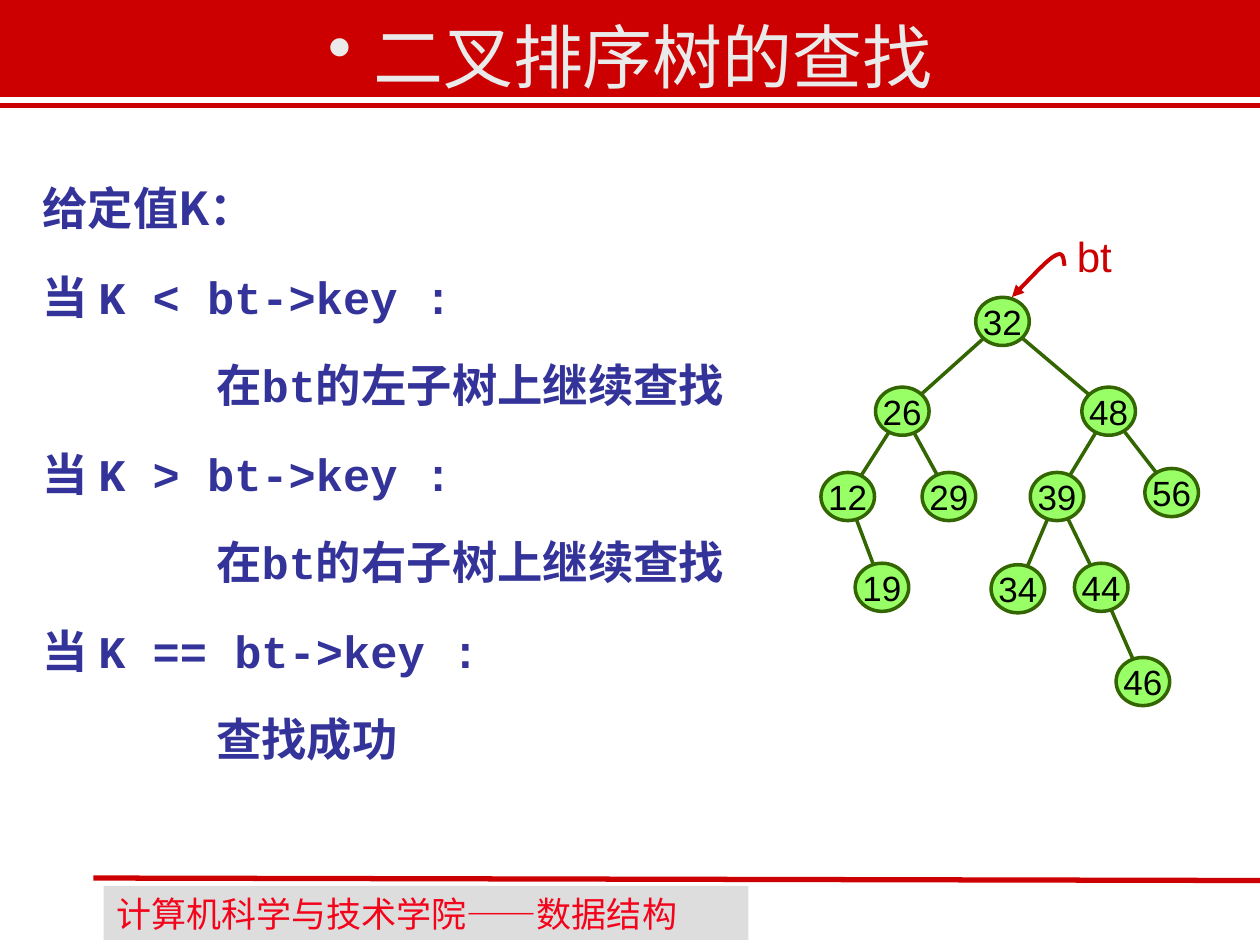
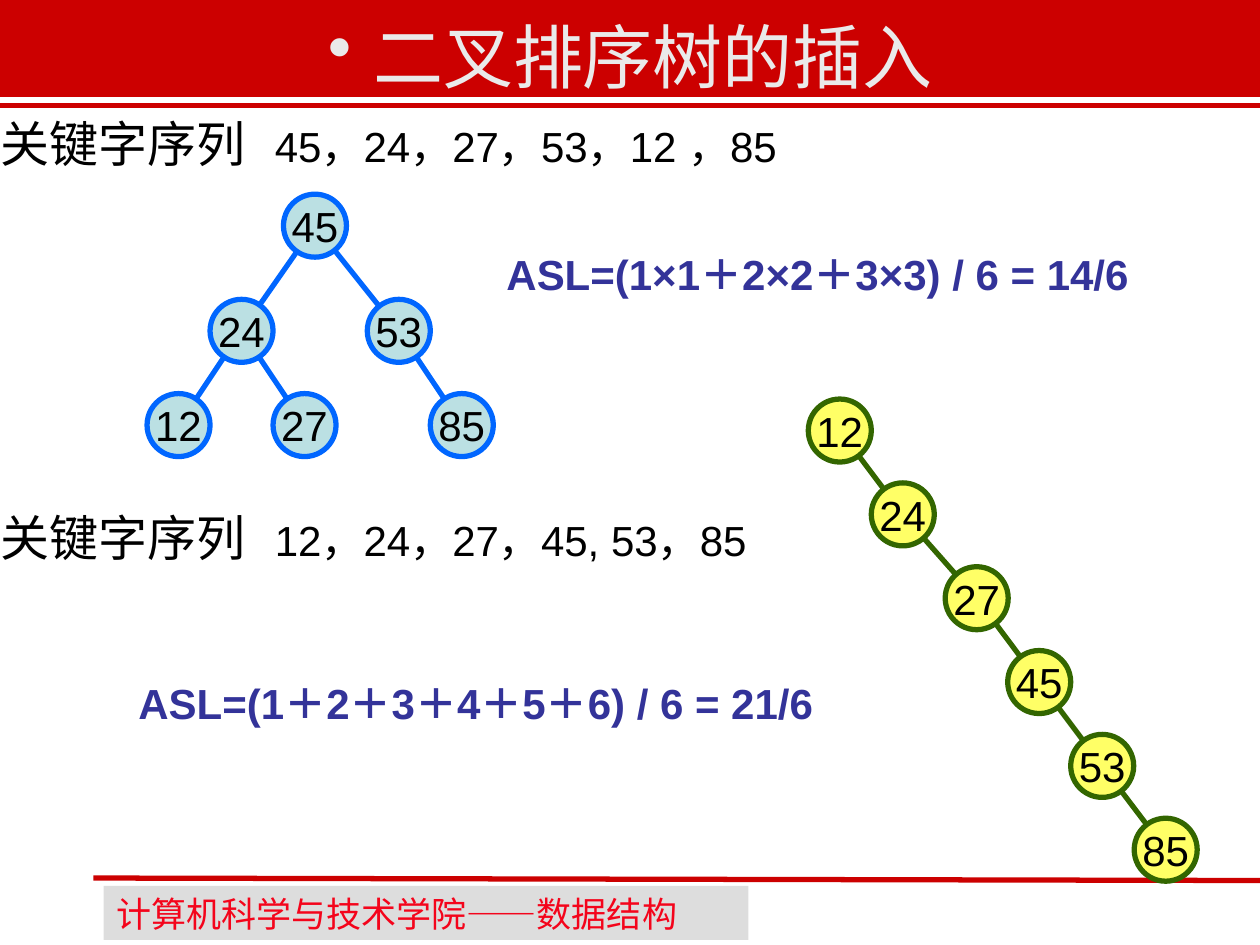
from dataclasses import dataclass
from math import hypot
from typing import NamedTuple

from lxml.etree import SubElement
from pptx import Presentation
from pptx.dml.color import RGBColor
from pptx.enum.shapes import MSO_CONNECTOR as Connector, MSO_SHAPE as Preset
from pptx.enum.text import MSO_ANCHOR as Anchor, PP_ALIGN as Align
from pptx.oxml.ns import qn
from pptx.util import Cm, Pt

RED = RGBColor(0xCC, 0x00, 0x00)
FOOTER_GREY = RGBColor(0xDD, 0xDD, 0xDD)
FOOTER_RED = RGBColor(0xF4, 0x04, 0x1B)
TITLE_GREY = RGBColor(0xEA, 0xEA, 0xEA)
INDIGO = RGBColor(0x33, 0x33, 0x99)
BLACK = RGBColor(0x00, 0x00, 0x00)
LIME = RGBColor(0x99, 0xFF, 0x66)
DARK_GREEN = RGBColor(0x33, 0x66, 0x00)
PALE_BLUE = RGBColor(0xBB, 0xE0, 0xE3)
BLUE = RGBColor(0x00, 0x66, 0xFF)
YELLOW = RGBColor(0xFF, 0xFF, 0x66)

SANS, SERIF, MONO, CJK = "Arial", "Times New Roman", "Courier New", "Noto Sans CJK SC"
WIDTH, HEIGHT = 25.4, 19.05


class Point(NamedTuple):
    x: float
    y: float


class Box(NamedTuple):
    left: float
    top: float
    width: float
    height: float


@dataclass(frozen=True)
class TreeStyle:
    fill: RGBColor
    line: RGBColor
    weight: float
    width: float
    height: float
    size: float


@dataclass(frozen=True)
class Tree:
    style: TreeStyle
    nodes: dict[int, Point]
    edges: list[tuple[int, int]]


class Condition(NamedTuple):
    test: str
    action: str


SEARCH_TREE = Tree(
    TreeStyle(LIME, DARK_GREEN, 2, 1.08, 0.97, 20),
    {
        32: Point(20.21, 6.48),
        26: Point(18.19, 8.29), 48: Point(22.35, 8.29),
        12: Point(17.09, 10.01), 29: Point(19.13, 10.01),
        39: Point(21.31, 10.01), 56: Point(23.62, 9.93),
        19: Point(17.78, 11.84), 34: Point(20.52, 11.87), 44: Point(22.2, 11.84),
        46: Point(23.04, 13.74),
    },
    [(32, 26), (32, 48), (26, 12), (26, 29), (48, 39), (48, 56),
     (12, 19), (39, 34), (39, 44), (44, 46)],
)
BALANCED_TREE = Tree(
    TreeStyle(PALE_BLUE, BLUE, 3, 1.27, 1.27, 24),
    {
        45: Point(6.35, 4.55),
        24: Point(4.87, 6.67), 53: Point(8.04, 6.67),
        12: Point(3.6, 8.57), 27: Point(6.14, 8.57), 85: Point(9.31, 8.57),
    },
    [(45, 24), (45, 53), (24, 12), (24, 27), (53, 85)],
)
CHAIN_KEYS = [12, 24, 27, 45, 53, 85]
CHAIN_X = [16.93, 18.2, 19.69, 20.95, 22.22, 23.5]
CHAIN_TREE = Tree(
    TreeStyle(YELLOW, DARK_GREEN, 3, 1.27, 1.27, 24),
    {key: Point(x, 8.68 + 1.69 * step)
     for step, (key, x) in enumerate(zip(CHAIN_KEYS, CHAIN_X))},
    list(zip(CHAIN_KEYS, CHAIN_KEYS[1:])),
)
CONDITIONS = [
    Condition("当 K < bt->key :", "在bt的左子树上继续查找"),
    Condition("当 K > bt->key :", "在bt的右子树上继续查找"),
    Condition("当 K == bt->key :", "查找成功"),
]


def set_font(font, name: str, size: float, color: RGBColor, bold: bool = False) -> None:
    font.name, font.size, font.bold = name, Pt(size), bold
    font.color.rgb = color


def add_preset(slide, preset, box: Box, fill: RGBColor):
    shape = slide.shapes.add_shape(preset, *map(Cm, box))
    shape.shadow.inherit = False
    shape.fill.solid()
    shape.fill.fore_color.rgb = fill
    return shape


def add_line(slide, start: Point, end: Point, color: RGBColor, weight: float) -> None:
    line = slide.shapes.add_connector(Connector.STRAIGHT, *map(Cm, start + end))
    line.line.color.rgb = color
    line.line.width = Pt(weight)
    SubElement(line.element.spPr, qn("a:effectLst"))


def add_text(slide, box: Box, wrap: bool = True):
    frame = slide.shapes.add_textbox(*map(Cm, box)).text_frame
    frame.word_wrap = wrap
    return frame


def add_label(slide, box: Box, text: str, color: RGBColor, bold: bool) -> None:
    label = add_text(slide, box).paragraphs[0]
    label.text = text
    set_font(label.font, SANS, 24, color, bold)


def rim_offset(style: TreeStyle, start: Point, end: Point) -> Point:
    dx, dy = end.x - start.x, end.y - start.y
    scale = 1 / hypot(dx / (style.width / 2), dy / (style.height / 2))
    return Point(dx * scale, dy * scale)


def draw_tree(slide, tree: Tree) -> None:
    style = tree.style
    for parent_key, child_key in tree.edges:
        parent, child = tree.nodes[parent_key], tree.nodes[child_key]
        rim = rim_offset(style, parent, child)
        add_line(slide, Point(parent.x + rim.x, parent.y + rim.y),
                 Point(child.x - rim.x, child.y - rim.y), style.line, style.weight)
    for key, center in tree.nodes.items():
        box = Box(center.x - style.width / 2, center.y - style.height / 2,
                  style.width, style.height)
        node = add_preset(slide, Preset.OVAL, box, style.fill)
        node.line.color.rgb = style.line
        node.line.width = Pt(style.weight)
        frame = node.text_frame
        frame.word_wrap = False
        frame.vertical_anchor = Anchor.MIDDLE
        frame.margin_left = frame.margin_right = frame.margin_top = frame.margin_bottom = 0
        number = frame.paragraphs[0]
        number.text = str(key)
        number.alignment = Align.CENTER
        set_font(number.font, SANS, style.size, BLACK)


def curve_points(a: Point, b: Point, c: Point, d: Point, steps: int = 12) -> list[Point]:
    def blend(t: float, values: tuple) -> float:
        weights = (1 - t) ** 3, 3 * t * (1 - t) ** 2, 3 * t * t * (1 - t), t ** 3
        return sum(w * v for w, v in zip(weights, values))
    return [Point(*(blend(i / steps, axis) for axis in zip(a, b, c, d)))
            for i in range(1, steps + 1)]


def draw_root_pointer(slide) -> None:
    start, crest, root = Point(21.46, 5.36), Point(21.26, 5.16), Point(20.4, 5.99)
    route = curve_points(start, Point(21.44, 5.21), Point(21.44, 5.05), crest)
    route += curve_points(crest, Point(21.08, 5.26), Point(20.75, 5.64), root)
    builder = slide.shapes.build_freeform(Cm(start.x), Cm(start.y))
    builder.add_line_segments([(Cm(p.x), Cm(p.y)) for p in route], close=False)
    pointer = builder.convert_to_shape()
    pointer.shadow.inherit = False
    pointer.fill.background()
    pointer.line.color.rgb = RED
    pointer.line.width = Pt(2.25)
    SubElement(pointer.line._get_or_add_ln(), qn("a:tailEnd"), type="triangle")
    add_label(slide, Box(21.46, 4.52, 1.47, 1.27), "bt", RED, False)


def add_page(deck, heading: str):
    slide = deck.slides.add_slide(deck.slide_layouts[5])
    band = add_preset(slide, Preset.RECTANGLE, Box(0, -0.05, WIDTH, 1.98), RED)
    band.line.color.rgb = RED
    band.line.width = Pt(1)
    footer = add_preset(slide, Preset.RECTANGLE, Box(2.09, 17.86, 13, 1.09), FOOTER_GREY)
    footer.line.fill.background()
    footer.text_frame.vertical_anchor = Anchor.TOP
    credit = footer.text_frame.paragraphs[0]
    credit.alignment = Align.LEFT
    for text, font in (("计算机科学与技术学院", SANS), ("——", CJK), ("数据结构", SANS)):
        run = credit.add_run()
        run.text = text
        set_font(run.font, font, 20, FOOTER_RED)
    add_line(slide, Point(1.88, 17.7), Point(WIDTH, 17.75), RED, 3)
    add_line(slide, Point(0, 2.13), Point(WIDTH, 2.13), RED, 3)

    title = slide.shapes.title
    title.left, title.top, title.width, title.height = map(Cm, Box(3.23, 0.15, 18.95, 1.96))
    title.element.getparent().append(title.element)
    title.text_frame.vertical_anchor = Anchor.TOP
    line = title.text_frame.paragraphs[0]
    line.text = f" {heading}"
    line.alignment = Align.CENTER
    properties = line._p.get_or_add_pPr()
    bullet_color = SubElement(properties, qn("a:buClr"))
    SubElement(bullet_color, qn("a:srgbClr"), val=str(TITLE_GREY))
    SubElement(properties, qn("a:buChar"), char="•")
    set_font(line.font, SERIF, 40, TITLE_GREY)
    return slide


def add_rule(frame, text: str, font: str, indent: float = 0) -> None:
    first = not frame.text
    rule = frame.paragraphs[0] if first else frame.add_paragraph()
    rule.text = text
    rule._p.get_or_add_pPr().set("marL", str(Cm(indent)))
    rule.line_spacing = Pt(43.6)
    rule.space_before = Pt(0 if first else 7)
    set_font(rule.font, font, 25.9, INDIGO, True)


def add_sequence(slide, box: Box, keys: str) -> None:
    sequence = add_text(slide, box, wrap=False).paragraphs[0]
    tabs = SubElement(sequence._p.get_or_add_pPr(), qn("a:tabLst"))
    SubElement(tabs, qn("a:tab"), pos=str(Cm(5.52)), algn="l")
    for text, size in (("关键字序列", 28), (f"\t{keys}", 24)):
        run = sequence.add_run()
        run.text = text
        set_font(run.font, SANS, size, BLACK)


def build_search(deck) -> None:
    slide = add_page(deck, "二叉排序树的查找")
    rules = add_text(slide, Box(0.61, 3.07, 15.42, 13.54))
    add_rule(rules, "给定值K：", CJK)
    for condition in CONDITIONS:
        add_rule(rules, condition.test, MONO)
        add_rule(rules, condition.action, MONO, 3.5)
    draw_tree(slide, SEARCH_TREE)
    draw_root_pointer(slide)


def build_insertion(deck) -> None:
    slide = add_page(deck, "二叉排序树的插入")
    add_sequence(slide, Box(-0.23, 2.16, 18.16, 1.45), "45，24，27，53，12 ，85")
    draw_tree(slide, BALANCED_TREE)
    add_label(slide, Box(9.96, 4.88, 14.81, 1.27),
              "ASL=(1×1＋2×2＋3×3) / 6 = 14/6", INDIGO, True)
    add_sequence(slide, Box(-0.23, 10.11, 17.37, 1.45), "12，24，27，45, 53，85")
    draw_tree(slide, CHAIN_TREE)
    add_label(slide, Box(2.54, 13.54, 14.81, 2.29),
              "ASL=(1＋2＋3＋4＋5＋6) / 6 = 21/6", INDIGO, True)


def main() -> None:
    deck = Presentation()
    deck.slide_width, deck.slide_height = Cm(WIDTH), Cm(HEIGHT)
    build_search(deck)
    build_insertion(deck)
    deck.save("out.pptx")


if __name__ == "__main__":
    main()
